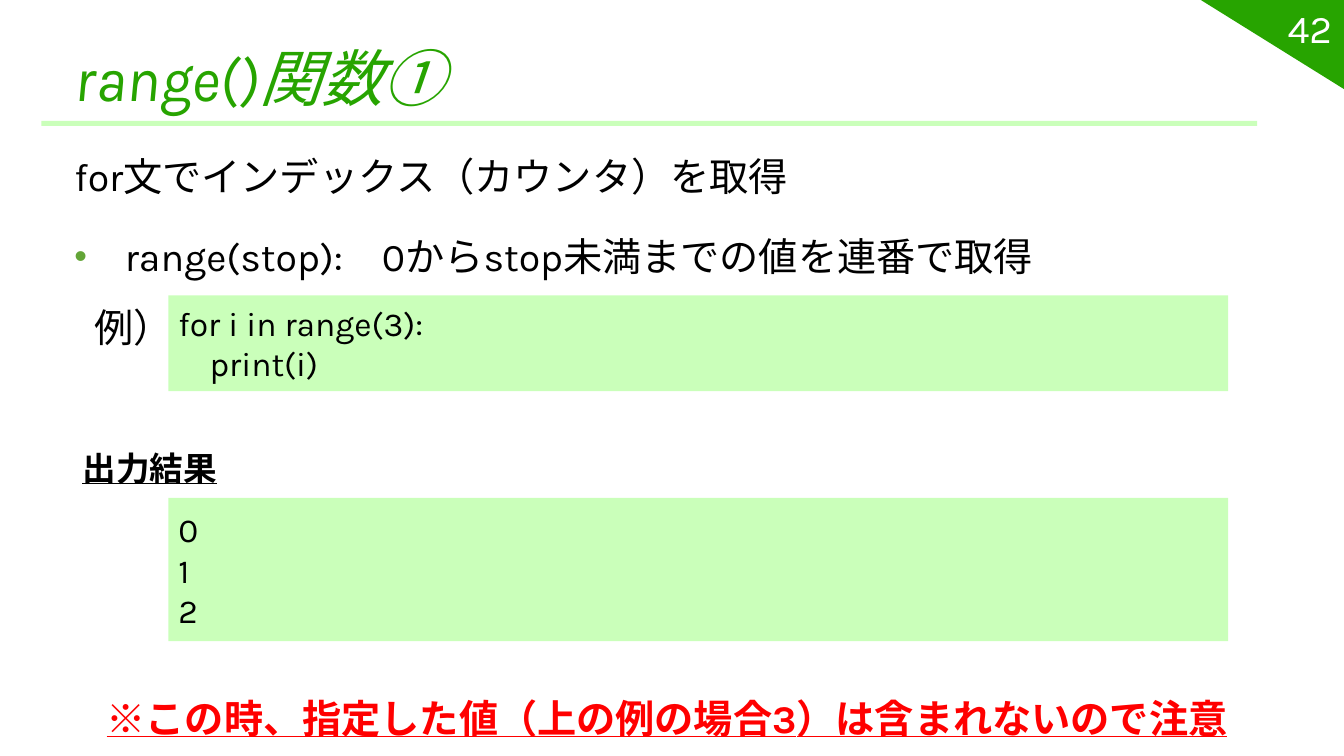
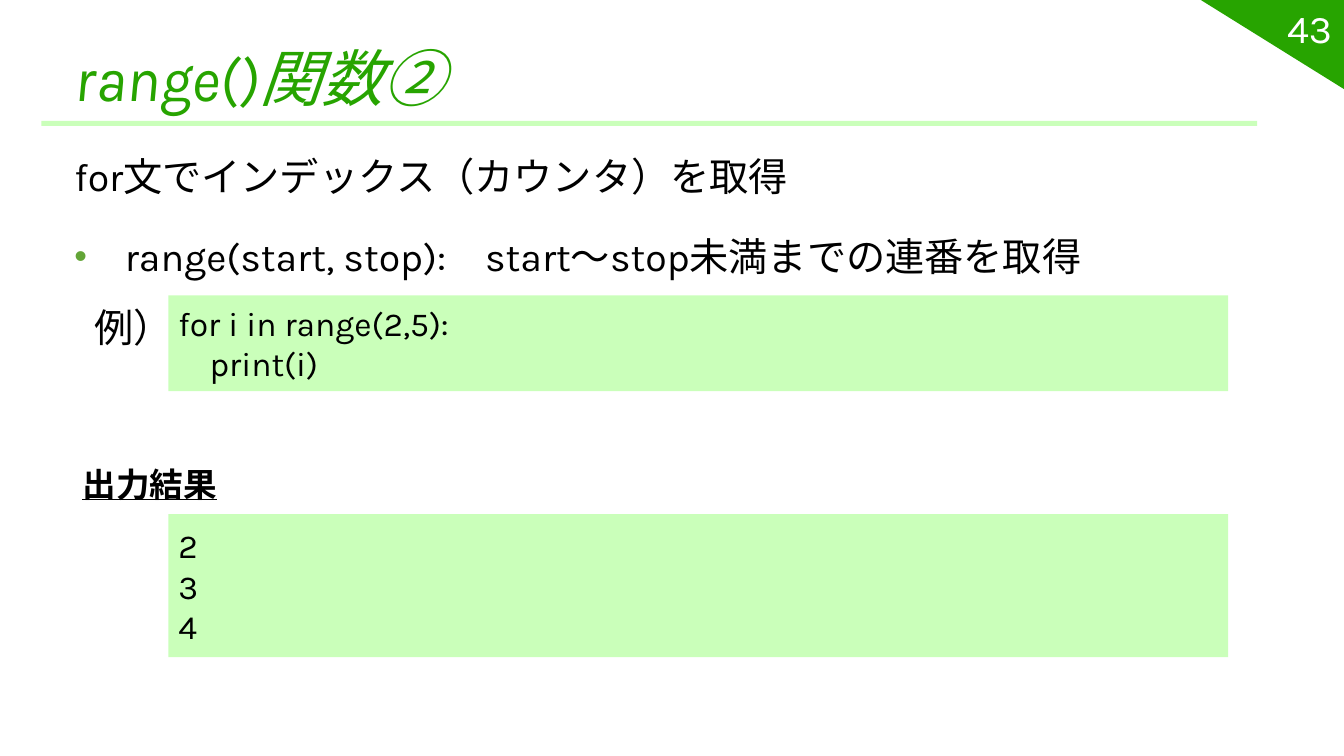
from lxml.etree import SubElement
from pptx import Presentation
from pptx.dml.color import RGBColor
from pptx.enum.lang import MSO_LANGUAGE_ID
from pptx.enum.shapes import MSO_SHAPE
from pptx.enum.text import MSO_ANCHOR, PP_ALIGN
from pptx.oxml.ns import qn
from pptx.util import Emu, Pt

PX = 9144  # 100 px to the inch
FONT = "Karla"
COLORS = {
    "green": "27A400",
    "pale": "CAFFBA",
    "bullet": "63A537",
    "black": "000000",
    "white": "FFFFFF",
    "red": "FF0000",
}

# Text formats: font values, then paragraph values
TITLE = {"size": Pt(44), "italic": True}, {}
NUMBER = {"size": Pt(28)}, {"alignment": PP_ALIGN.RIGHT}
CODE = {"size": Pt(24)}, {"alignment": PP_ALIGN.LEFT}
SPACING = {"line_spacing": 1.5, "space_before": Pt(5.6), "space_after": Pt(6)}
BODY = {"size": Pt(28)}, SPACING
HEADING = {"size": Pt(24), "bold": True, "underline": True}, SPACING
WARNING = {"size": Pt(28), "bold": True, "underline": True}, SPACING

LESSONS = [
    {
        "number": "42",
        "title": "range()関数①",
        "usage": "range(stop):　0からstop未満までの値を連番で取得",
        "code": ["for i in range(3):", "print(i)"],
        "output": ["0", "1", "2"],
        "output_top": 419,
        "warning": "※この時、指定した値（上の例の場合3）は含まれないので注意",
    },
    {
        "number": "43",
        "title": "range()関数②",
        "usage": "range(start, stop):　start～stop未満までの連番を取得",
        "code": ["for i in range(2,5):", "print(i)"],
        "output": ["2", "3", "4"],
        "output_top": 435,
        "warning": None,
    },
]


def add_block(slide, box, fill, preset=MSO_SHAPE.RECTANGLE):
    """Add a plain filled shape; box is left, top, width, height in px."""
    block = slide.shapes.add_shape(preset, *(Emu(n * PX) for n in box))
    block.shadow.inherit = False
    block.fill.solid()
    block.fill.fore_color.rgb = RGBColor.from_string(COLORS[fill])
    block.line.fill.background()
    return block


def write(target, lines, style, color="black", anchor=MSO_ANCHOR.TOP):
    """Write lines into a shape, or into a new text box if target is (slide, box)."""
    if isinstance(target, tuple):
        slide, box = target
        target = slide.shapes.add_textbox(*(Emu(n * PX) for n in box))
    frame = target.text_frame
    frame.word_wrap = True
    frame.vertical_anchor = anchor
    frame.text = "\n".join(lines)
    font_values, paragraph_values = style
    for paragraph in frame.paragraphs:
        for name, value in paragraph_values.items():
            setattr(paragraph, name, value)
        run = paragraph.runs[0]
        for name, value in font_values.items():
            setattr(run.font, name, value)
        run.font.name = FONT
        run.font.language_id = MSO_LANGUAGE_ID.JAPANESE
        run.font.color.rgb = RGBColor.from_string(COLORS[color])
        SubElement(run._r.get_or_add_rPr(), qn("a:ea"), typeface=FONT)
    return frame.paragraphs


deck = Presentation()
deck.slide_width = Emu(1333 * PX)
deck.slide_height = Emu(750 * PX)

for lesson in LESSONS:
    slide = deck.slides.add_slide(deck.slide_layouts[6])

    # Frame: corner with page number, title and its rule
    corner = add_block(slide, (1191, 0, 143, 89), "green", MSO_SHAPE.RIGHT_TRIANGLE)
    corner.rotation = 180
    add_block(slide, (41, 120, 1206, 5), "pale")
    write((slide, (64, 29, 1206, 89)), [lesson["title"]], TITLE, "green", MSO_ANCHOR.BOTTOM)
    write((slide, (1143, 8, 188, 40)), [lesson["number"]], NUMBER, "white", MSO_ANCHOR.MIDDLE)

    # Explanation
    write((slide, (64, 123, 1257, 95)), ["for文でインデックス（カウンタ）を取得"], BODY)
    usage = write((slide, (64, 202, 1257, 91)), [lesson["usage"]], BODY)[0]
    bullet = usage._p.get_or_add_pPr()
    bullet.set("marL", str(50 * PX))
    bullet.set("indent", str(-50 * PX))
    bullet_color = SubElement(bullet, qn("a:buClr"))
    SubElement(bullet_color, qn("a:srgbClr"), val=COLORS["bullet"])
    SubElement(bullet, qn("a:buSzPct"), val="92000")
    SubElement(bullet, qn("a:buFont"), typeface="Arial")
    SubElement(bullet, qn("a:buChar"), char="•")

    # Example code
    code_box = add_block(slide, (167, 293, 1051, 95), "pale")
    code = write(code_box, lesson["code"], CODE, anchor=MSO_ANCHOR.MIDDLE)
    code[1]._p.get_or_add_pPr().set("marL", str(31 * PX))
    write((slide, (84, 273, 103, 91)), ["例）"], BODY)

    # Output
    top = lesson["output_top"]
    write((slide, (72, top, 1257, 91)), ["出力結果"], HEADING)
    output_box = add_block(slide, (167, top + 75, 1051, 142), "pale")
    write(output_box, lesson["output"], CODE, anchor=MSO_ANCHOR.MIDDLE)
    if lesson["warning"]:
        write((slide, (96, 661, 1174, 85)), [lesson["warning"]], WARNING, "red")

deck.save("out.pptx")
